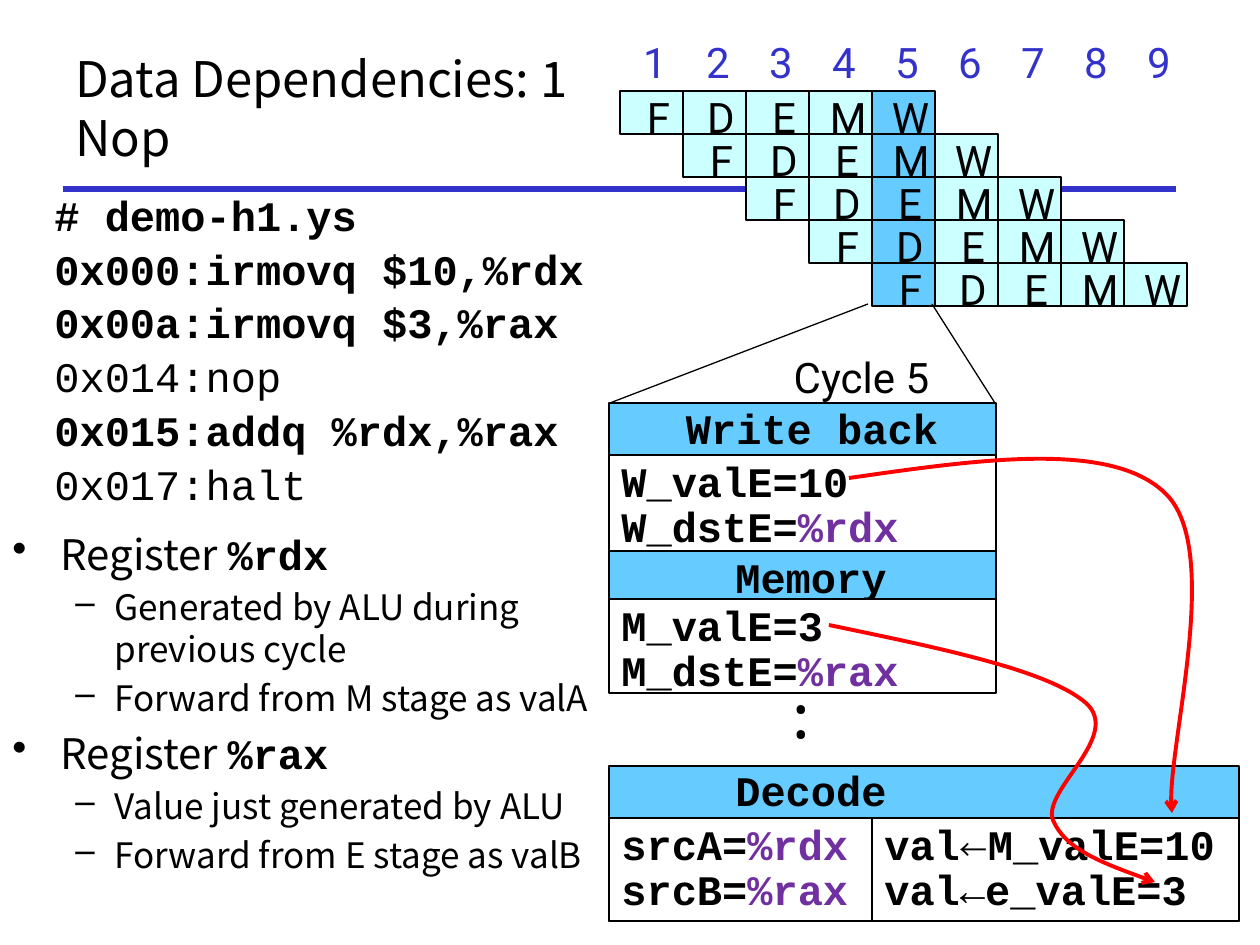
from lxml import etree
from pptx import Presentation
from pptx.dml.color import RGBColor
from pptx.enum.shapes import MSO_CONNECTOR, MSO_SHAPE
from pptx.enum.text import MSO_ANCHOR, MSO_AUTO_SIZE, PP_ALIGN
from pptx.oxml.ns import qn
from pptx.util import Pt

PX = 914400 // 126
RECTANGLE, STRAIGHT = MSO_SHAPE.RECTANGLE, MSO_CONNECTOR.STRAIGHT
TOP, MIDDLE = MSO_ANCHOR.TOP, MSO_ANCHOR.MIDDLE
GROW, FIXED = MSO_AUTO_SIZE.SHAPE_TO_FIT_TEXT, MSO_AUTO_SIZE.NONE
LEFT, CENTER = PP_ALIGN.LEFT, PP_ALIGN.CENTER

BLACK = RGBColor(0x00, 0x00, 0x00)
WHITE = RGBColor(0xFF, 0xFF, 0xFF)
INDIGO = RGBColor(0x33, 0x33, 0xCC)
PALE = RGBColor(0xCC, 0xFF, 0xFF)
SKY = RGBColor(0x66, 0xCC, 0xFF)
PURPLE = RGBColor(0x70, 0x30, 0xA0)
RED = RGBColor(0xFF, 0x00, 0x00)

# Run formats
MONO = {"name": "Courier New", "size": Pt(24), "bold": False, "color": BLACK}
CODE = {**MONO, "bold": True}
REGISTER = {**CODE, "color": PURPLE}
SANS = {"name": "Noto Sans CJK KR", "size": Pt(24), "bold": False, "color": BLACK}
ARROW = {**SANS, "size": Pt(16)}
SUB = {**SANS, "size": Pt(20)}
TITLE = {**SANS, "size": Pt(28)}
LABEL = {**SANS, "name": "Roboto"}
CYCLE = {**LABEL, "color": INDIGO}

# Paragraph formats: lengths in px, before is a share of the text size
PLAIN = {"spacing": None, "before": 0, "margin": 0, "indent": 0, "level": 0, "bullet": None}
TIGHT = {**PLAIN, "spacing": 0.9}
HANGING = {**TIGHT, "margin": 48, "indent": -48}
LISTING = {**HANGING, "before": 0.2}
POINT = {**LISTING, "spacing": None, "bullet": "•"}
SUBPOINT = {**POINT, "margin": 102, "indent": -39, "level": 1, "bullet": "–"}

# Content
PROGRAM = [
    ("# demo-h1.ys", CODE),
    ("0x000:irmovq $10,%rdx", CODE),
    ("0x00a:irmovq $3,%rax", CODE),
    ("0x014:nop", MONO),
    ("0x015:addq %rdx,%rax", CODE),
    ("0x017:halt", MONO),
]
NOTES = [
    (POINT, [("Register ", SANS), ("%rdx", CODE)]),
    (SUBPOINT, [("Generated by ALU during previous cycle", SUB)]),
    (SUBPOINT, [("Forward from M stage as valA", SUB)]),
    (POINT, [("Register ", SANS), ("%rax", CODE)]),
    (SUBPOINT, [("Value just generated by ALU", SUB)]),
    (SUBPOINT, [("Forward from E stage as valB", SUB)]),
]
STAGE_WIDTHS = {"F": 25, "D": 30, "E": 28, "M": 35, "W": 39}
CYCLES = 9
HIGHLIGHT = 4

# Stage panels: header box, name box, name, then detail boxes with their lines
PANELS = [
    ((609, 766, 630, 155), (735, 770, 152, 47), "Decode", [
        ((609, 818, 387, 103), [[("srcA=", CODE), ("%rdx", REGISTER)],
                                [("srcB=", CODE), ("%rax", REGISTER)]]),
        ((872, 818, 367, 103), [[("val", CODE), ("←", ARROW), ("M_valE=10", CODE)],
                                [("val←e_valE=3", CODE)]]),
    ]),
    ((609, 403, 387, 108), (685, 408, 254, 47), "Write back", [
        ((609, 455, 387, 96), [[("W_valE=10", CODE)],
                               [("W_dstE=", CODE), ("%rdx", REGISTER)]]),
    ]),
    ((609, 551, 387, 142), (735, 557, 152, 47), "Memory", [
        ((609, 599, 387, 94), [[("M_valE=3", CODE)],
                               [("M_dstE=", CODE), ("%rax", REGISTER)]]),
    ]),
]
# Forwarding curves: start, then cubic control points in threes
FORWARDS = [
    [(829, 625), (939, 648), (1048, 670), (1086, 703), (1123, 736), (1042, 790),
     (1053, 820), (1065, 849), (1110, 866), (1155, 882)],
    [(849, 478), (981, 459), (1114, 440), (1167, 495), (1221, 551), (1164, 760),
     (1172, 813)],
]

presentation = Presentation()
presentation.slide_width = 1260 * PX
presentation.slide_height = 945 * PX
slide = presentation.slides.add_slide(presentation.slide_layouts[6])
shapes = slide.shapes


def emu(box):
    return [length * PX for length in box]


def write(shape, paragraphs, align=LEFT, anchor=TOP, wrap=True, grow=False, inset=True):
    frame = shape.text_frame
    frame.word_wrap = wrap
    frame.auto_size = GROW if grow else FIXED
    frame.vertical_anchor = anchor
    if not inset:
        for side in ("left", "right", "top", "bottom"):
            setattr(frame, "margin_" + side, 0)
    for index, (layout, runs) in enumerate(paragraphs):
        paragraph = frame.paragraphs[0] if index == 0 else frame.add_paragraph()
        paragraph.alignment = align
        paragraph.level = layout["level"]
        paragraph.line_spacing = layout["spacing"]
        size = runs[0][1]["size"].pt
        paragraph.space_before = Pt(round(size * layout["before"], 1) if index else 0)
        properties = paragraph._p.get_or_add_pPr()
        properties.set("marL", str(layout["margin"] * PX))
        properties.set("indent", str(layout["indent"] * PX))
        if layout["bullet"]:
            etree.SubElement(properties, qn("a:buChar")).set("char", layout["bullet"])
        for text, style in runs:
            run = paragraph.add_run()
            run.text = text
            for key, value in style.items():
                if key == "color":
                    run.font.color.rgb = value
                else:
                    setattr(run.font, key, value)


def add_text(box, paragraphs, **options):
    write(shapes.add_textbox(*emu(box)), paragraphs, **options)


def add_label(box, text, style):
    add_text(box, [(TIGHT, [(text, style)])], align=CENTER, wrap=False, grow=True, inset=False)


def add_box(box, fill, width=1.0):
    shape = shapes.add_shape(RECTANGLE, *emu(box))
    shape.shadow.inherit = False
    shape.fill.solid()
    shape.fill.fore_color.rgb = fill
    shape.line.color.rgb = BLACK
    shape.line.width = Pt(width)
    return shape


def add_line(ends, color, width):
    line = shapes.add_connector(STRAIGHT, *emu(ends))
    line.line.color.rgb = color
    line.line.width = Pt(width)
    etree.SubElement(line._element.spPr, qn("a:effectLst"))


def add_curve(points):
    builder = shapes.build_freeform(*points[0], scale=PX)
    builder.add_line_segments(points[1:], close=False)
    shape = builder.convert_to_shape()
    shape.shadow.inherit = False
    shape.fill.background()
    shape.line.color.rgb = RED
    shape.line.width = Pt(2.25)
    etree.SubElement(shape.line._get_or_add_ln(), qn("a:tailEnd")).set("type", "arrow")
    # Each three straight segments become one cubic segment
    outline = next(shape._element.iter(qn("a:path")))
    segments = outline.findall(qn("a:lnTo"))
    for start in range(0, len(segments), 3):
        cubic = etree.SubElement(outline, qn("a:cubicBezTo"))
        for segment in segments[start:start + 3]:
            cubic.append(segment[0])
            outline.remove(segment)


# Title, rule and program listing
add_line((63, 189, 1176, 189), INDIGO, 3)
add_text((63, 54, 520, 107), [(PLAIN, [("Data Dependencies: 1 Nop", TITLE)])], anchor=MIDDLE)
add_text((42, 189, 620, 300), [(LISTING, [line]) for line in PROGRAM])

# Pipeline diagram: one row per instruction, each a cycle later
COLUMN, ROW, GRID_LEFT, GRID_TOP = 63, 43, 620, 91
for cycle in range(CYCLES):
    add_label((GRID_LEFT + cycle * COLUMN + 23, 42, 24, 45), str(cycle + 1), CYCLE)
for row in range(len(STAGE_WIDTHS)):
    top = GRID_TOP + row * ROW
    for column, (stage, width) in enumerate(STAGE_WIDTHS.items(), row):
        left = GRID_LEFT + column * COLUMN
        add_box((left, top, COLUMN, ROW), SKY if column == HIGHLIGHT else PALE)
        add_label((left + 38 - width // 2, top + 6, width, 45), stage, LABEL)

# Zoom into cycle 5
add_line((868, 304, 610, 403), BLACK, 0.75)
add_line((932, 304, 995, 403), BLACK, 0.75)
add_label((791, 357, 141, 45), "Cycle 5", LABEL)
for dot_top in (689, 714):
    add_label((794, dot_top, 14, 45), "•", LABEL)
for header, name_box, name, details in PANELS:
    add_box(header, SKY, 0.75)
    add_label(name_box, name, CODE)
    for box, lines in details:
        write(add_box(box, WHITE), [(HANGING, runs) for runs in lines])

# Forwarding paths and notes
for points in FORWARDS:
    add_curve(points)
add_text((0, 522, 621, 370), NOTES, grow=True)

presentation.save("out.pptx")
